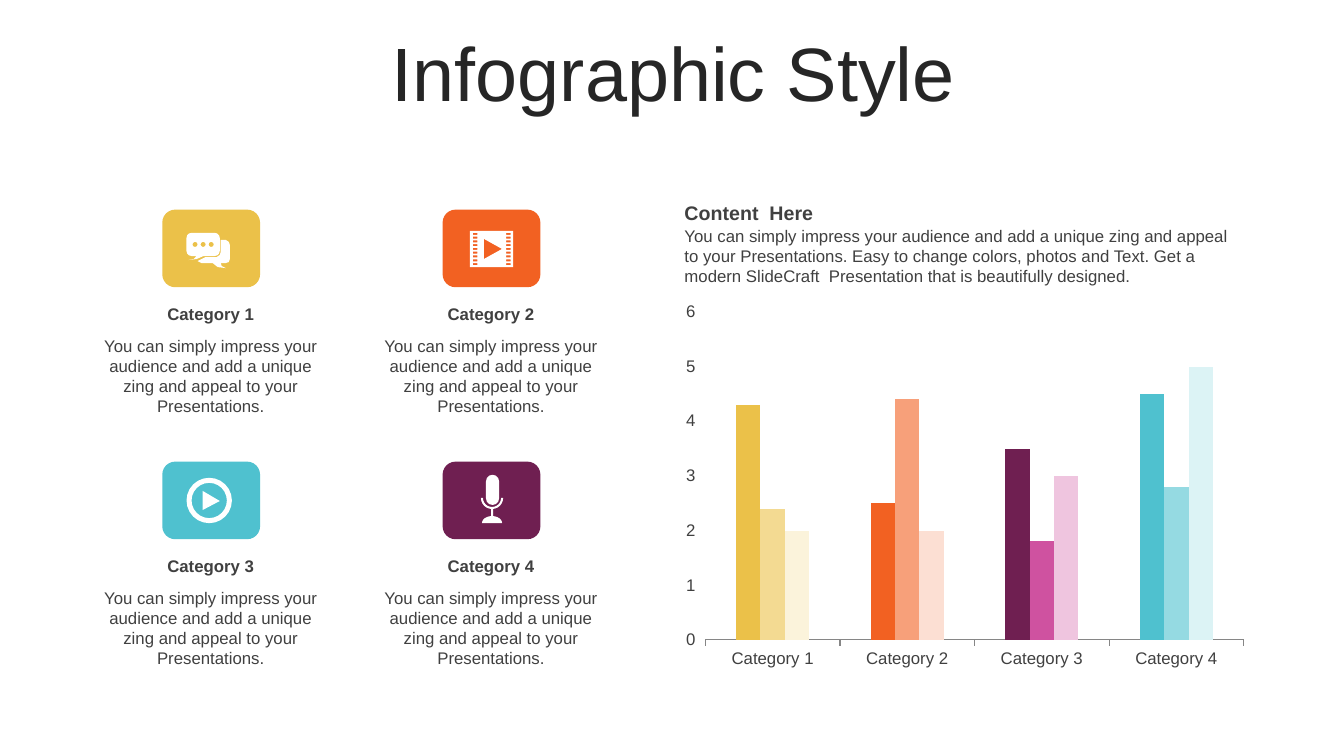
import math
from dataclasses import dataclass

import pptx
import pptx.chart.data
import pptx.dml.color
import pptx.enum.chart
import pptx.enum.shapes
import pptx.enum.text
import pptx.util

EMU_PER_PX = 9144  # 100 px to the inch

Point = tuple[float, float]
Contour = list[Point]


@dataclass(frozen=True)
class Theme:
    font: str = "Arial"
    title_size: int = 54
    heading_size: int = 14
    body_size: int = 12
    title: str = "262626"
    text: str = "404040"
    white: str = "FFFFFF"
    axis: str = "868686"
    yellow: str = "EBC149"
    orange: str = "F26122"
    teal: str = "4FC1CF"
    purple: str = "6F1F51"


THEME = Theme()


@dataclass(frozen=True)
class Box:
    left: int
    top: int
    width: int
    height: int

    def emu(self) -> list[int]:
        return [px(n) for n in (self.left, self.top, self.width, self.height)]


@dataclass(frozen=True)
class Card:
    title: str
    color: str
    column: int
    row: int
    icon: list[Contour]


@dataclass(frozen=True)
class BarSeries:
    name: str
    values: tuple[float, ...]
    colors: tuple[str, ...]


def px(length: float) -> int:
    return round(length * EMU_PER_PX)


def rgb(color: str) -> pptx.dml.color.RGBColor:
    return pptx.dml.color.RGBColor.from_string(color)


def arc(x: float, y: float, radius_x: float, radius_y: float, start: int, end: int) -> Contour:
    """Points on an ellipse around (x, y), clockwise from start to end degrees."""
    steps = abs(end - start) // (30 if radius_x < 8 else 15)
    angles = [math.radians(start + (end - start) * i / steps) for i in range(steps + 1)]
    return [(x + radius_x * math.cos(a), y + radius_y * math.sin(a)) for a in angles]


def rectangle(left: float, top: float, width: float, height: float) -> Contour:
    right, bottom = left + width, top + height
    return [(left, top), (right, top), (right, bottom), (left, bottom)]


def rounded(left: float, top: float, width: float, height: float, radius: float) -> Contour:
    near_x, far_x = left + radius, left + width - radius
    near_y, far_y = top + radius, top + height - radius
    corners = [(far_x, far_y), (near_x, far_y), (near_x, near_y), (far_x, near_y)]
    return [point for i, (x, y) in enumerate(corners)
            for point in arc(x, y, radius, radius, 90 * i, 90 * i + 90)]


def chat_icon() -> list[Contour]:
    back_bubble = [(219, 238), (224, 238), (227, 240), (228, 243), (228, 257), (227, 260),
                   (224, 261), (219, 261), (220, 264), (224, 266), (216, 265), (211, 261),
                   (200, 261), (196, 259), (204, 255), (215, 255), (218, 253), (219, 250)]
    tail = [(195, 254), (202, 254), (195, 257), (187, 258), (192, 257)]
    dots = [rounded(x, 240, 5, 5, 2.5) for x in (191, 199, 207)]
    return [back_bubble, rounded(185, 231, 33, 23, 5), tail, *dots]


def film_icon() -> list[Contour]:
    holes = [rectangle(x, 231 + 3.75 * i, 4.5, 2) for x in (469, 502) for i in range(9)]
    return [rectangle(466, 229, 43, 36), [(480, 237), (480, 257), (498, 247)], *holes]


def play_icon() -> list[Contour]:
    return [rounded(185, 474, 45, 45, 22.5), rounded(190, 479, 35, 35, 17.5),
            [(201, 487), (218, 497), (201, 506)]]


def microphone_icon() -> list[Contour]:
    cradle = arc(488, 494, 11, 11, 0, 180) + arc(488, 494, 9, 9, 180, 0)
    return [rounded(482, 471, 13, 30, 6.5), cradle, rectangle(487, 505, 2, 7),
            arc(488, 519, 10, 7, 180, 360)]


CARDS = [
    Card("Category 1", THEME.yellow, 0, 0, chat_icon()),
    Card("Category 2", THEME.orange, 1, 0, film_icon()),
    Card("Category 3", THEME.teal, 0, 1, play_icon()),
    Card("Category 4", THEME.purple, 1, 1, microphone_icon()),
]
CARD_STEP_X, CARD_STEP_Y = 278, 250
CARD_TEXT = "You can simply impress your audience and add a unique zing and appeal to your Presentations."
CONTENT_TEXT = (
    f"{CARD_TEXT} Easy to change colors, photos and Text. "
    "Get a modern SlideCraft  Presentation that is beautifully designed."
)
SERIES = [
    BarSeries("Series 1", (4.3, 2.5, 3.5, 4.5),
              (THEME.yellow, THEME.orange, THEME.purple, THEME.teal)),
    BarSeries("Series 2", (2.4, 4.4, 1.8, 2.8), ("F3DA92", "F7A07A", "CF52A0", "95DAE2")),
    BarSeries("Series 3", (2, 2, 3, 5), ("FBF3DB", "FCDFD3", "EFC5DF", "DCF3F5")),
]


def set_font(font, size: int, color: str = THEME.text, bold: bool = False) -> None:
    font.name = THEME.font
    font.size = pptx.util.Pt(size)
    font.bold = bold
    font.color.rgb = rgb(color)


def add_text(slide, box: Box, text: str, size: int = THEME.body_size, color: str = THEME.text,
             bold: bool = False, centered: bool = False, middle: bool = False):
    frame = slide.shapes.add_textbox(*box.emu()).text_frame
    frame.word_wrap = True
    anchors = pptx.enum.text.MSO_ANCHOR
    frame.vertical_anchor = anchors.MIDDLE if middle else anchors.TOP
    paragraph = frame.paragraphs[0]
    paragraph.text = text
    alignments = pptx.enum.text.PP_ALIGN
    paragraph.alignment = alignments.CENTER if centered else alignments.LEFT
    set_font(paragraph.font, size, color, bold)
    return paragraph


def paint(shape, color: str) -> None:
    shape.shadow.inherit = False
    shape.fill.solid()
    shape.fill.fore_color.rgb = rgb(color)
    shape.line.fill.background()


def add_icon(slide, contours: list[Contour]) -> None:
    """Draw the contours as one white shape; inner contours become holes."""
    outlines = [[(px(x), px(y)) for x, y in contour] for contour in contours]
    builder = slide.shapes.build_freeform(*outlines[0][0])
    for i, outline in enumerate(outlines):
        if i:
            builder.move_to(*outline[0])
        builder.add_line_segments(outline[1:], close=True)
    paint(builder.convert_to_shape(), THEME.white)


def add_card(slide, card: Card) -> None:
    left, top = 88 + card.column * CARD_STEP_X, 208 + card.row * CARD_STEP_Y
    tile = slide.shapes.add_shape(pptx.enum.shapes.MSO_SHAPE.ROUNDED_RECTANGLE,
                                  *Box(left + 73, top, 97, 77).emu())
    paint(tile, card.color)
    add_icon(slide, card.icon)
    add_text(slide, Box(left, top + 88, 242, 30), card.title, bold=True, centered=True)
    add_text(slide, Box(left, top + 120, 242, 91), CARD_TEXT, centered=True)


def add_bar_chart(slide, box: Box) -> None:
    data = pptx.chart.data.CategoryChartData()
    data.categories = [card.title for card in CARDS]
    for bars in SERIES:
        data.add_series(bars.name, bars.values)
    chart = slide.shapes.add_chart(pptx.enum.chart.XL_CHART_TYPE.COLUMN_CLUSTERED,
                                   *box.emu(), data).chart
    chart.has_legend = False
    chart.has_title = False
    set_font(chart.font, THEME.body_size)
    plot = chart.plots[0]
    plot.gap_width = 250
    plot.vary_by_categories = False
    for series, bars in zip(plot.series, SERIES):
        for i, color in enumerate(bars.colors):
            fill = series.points[i].format.fill
            fill.solid()
            fill.fore_color.rgb = rgb(color)
    for axis in (chart.category_axis, chart.value_axis):
        axis.has_major_gridlines = False
        axis.major_tick_mark = pptx.enum.chart.XL_TICK_MARK.OUTSIDE
    chart.category_axis.format.line.color.rgb = rgb(THEME.axis)
    chart.value_axis.format.line.fill.background()
    chart.value_axis.minimum_scale = 0
    chart.value_axis.maximum_scale = 6
    chart.value_axis.major_unit = 1


def main() -> None:
    presentation = pptx.Presentation()
    presentation.slide_width, presentation.slide_height = px(1333), px(750)
    slide = presentation.slides.add_slide(presentation.slide_layouts[6])
    title = add_text(slide, Box(35, 37, 1266, 79), "Infographic Style", THEME.title_size,
                     THEME.title, centered=True, middle=True)
    title.line_spacing = 0.9
    add_bar_chart(slide, Box(669, 293, 576, 377))
    add_text(slide, Box(669, 194, 569, 34), "Content  Here", THEME.heading_size,
             bold=True, middle=True)
    add_text(slide, Box(669, 219, 569, 71), CONTENT_TEXT)
    for card in CARDS:
        add_card(slide, card)
    presentation.save("out.pptx")


if __name__ == "__main__":
    main()
